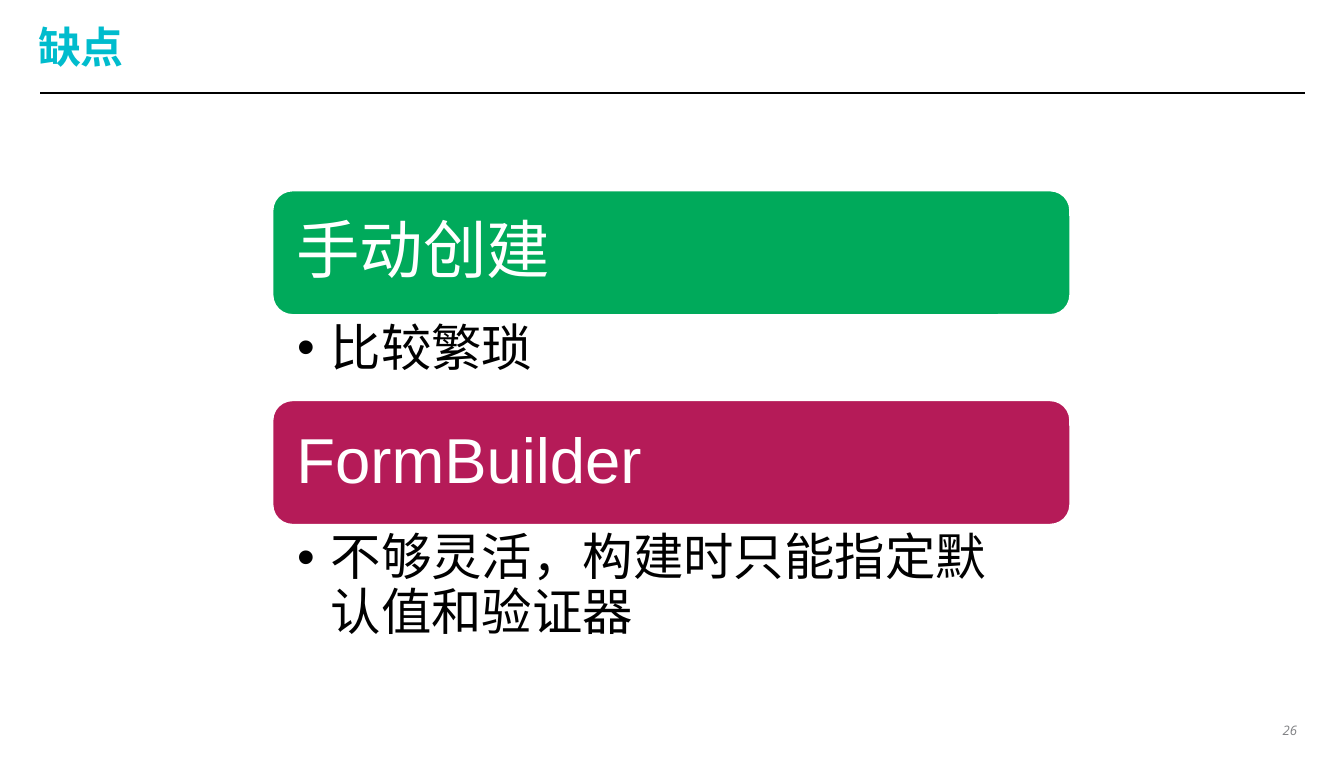
from lxml.etree import SubElement
from pptx import Presentation
from pptx.dml.color import RGBColor
from pptx.enum.shapes import MSO_CONNECTOR, MSO_SHAPE
from pptx.enum.text import MSO_ANCHOR, PP_ALIGN
from pptx.oxml.ns import qn
from pptx.util import Inches, Pt

# Content: heading, fill, drawback, height of the drawback text
TITLE = "缺点"
PAGE_NUMBER = "26"
DRAWBACKS = [
    ("手动创建", "00AA5B", "比较繁琐", 0.62),
    ("FormBuilder", "B51B58", "不够灵活，构建时只能指定默认值和验证器", 0.98),
]

# Layout and text formats
LEFT, TOP, WIDTH, HEADING_HEIGHT = 2.02, 1.41, 5.95, 0.94
TITLE_FORMAT = dict(size=Pt(23), name="Noto Sans CJK JP", bold=True)
PAGE_FORMAT = dict(size=Pt(7), name="Open Sans", italic=True)
HEADING_FORMAT = dict(size=Pt(34), name="Arial")
DRAWBACK_FORMAT = dict(size=Pt(27), name="Arial")


def rgb(value):
    return RGBColor.from_string(value)


def write(owner, text, color, font_format, margins, spacing=1.0,
          anchor=MSO_ANCHOR.TOP, align=PP_ALIGN.LEFT):
    """Fill a text frame with one paragraph and return the paragraph and run."""
    frame = owner.text_frame
    frame.word_wrap = True
    frame.vertical_anchor = anchor
    for side, margin in zip(("left", "top", "right", "bottom"), margins):
        setattr(frame, f"margin_{side}", Inches(margin))
    paragraph = frame.paragraphs[0]
    paragraph.alignment = align
    paragraph.line_spacing = spacing
    run = paragraph.add_run()
    run.text = text
    for key, value in font_format.items():
        setattr(run.font, key, value)
    run.font.color.rgb = rgb(color)
    SubElement(run.font._element, qn("a:ea"), typeface=font_format["name"])
    return paragraph, run


def add_text_box(left, top, width, height):
    return slide.shapes.add_textbox(
        Inches(left), Inches(top), Inches(width), Inches(height))


prs = Presentation()
prs.slide_width, prs.slide_height = Inches(10), Inches(5.63)
slide = prs.slides.add_slide(prs.slide_layouts[6])

# Title with its rule
rule = slide.shapes.add_connector(
    MSO_CONNECTOR.STRAIGHT, Inches(0.3), Inches(0.69), Inches(9.71), Inches(0.69))
rule.line.color.rgb = rgb("000000")
rule.line.width = Pt(1)
SubElement(rule._element.spPr, qn("a:effectLst"))

_, title_run = write(add_text_box(0.29, 0.18, 9.41, 0.42), TITLE, "00BCCD",
                     TITLE_FORMAT, (0, 0, 0, 0), 0.7, MSO_ANCHOR.MIDDLE)
title_run.font._element.set("spc", "-60")

# Page number, with room for its digits on one line
write(add_text_box(9.41, 5.34, 0.3, 0.17), PAGE_NUMBER, "808184", PAGE_FORMAT,
      (0, 0.03, 0.06, 0.03), align=PP_ALIGN.RIGHT)

# Headings, each followed by its drawback
top = TOP
for heading, fill, drawback, drawback_height in DRAWBACKS:
    bar = slide.shapes.add_shape(
        MSO_SHAPE.ROUNDED_RECTANGLE, Inches(LEFT), Inches(top),
        Inches(WIDTH), Inches(HEADING_HEIGHT))
    bar.shadow.inherit = False
    bar.fill.solid()
    bar.fill.fore_color.rgb = rgb(fill)
    bar.line.color.rgb = rgb("FFFFFF")
    bar.line.width = Pt(2)
    write(bar, heading, "FFFFFF", HEADING_FORMAT, (0.14, 0.14, 0.14, 0.14),
          0.9, MSO_ANCHOR.MIDDLE)
    top += HEADING_HEIGHT

    # The right margin keeps the line break after 默
    paragraph, _ = write(
        add_text_box(LEFT, top, WIDTH, drawback_height), drawback, "000000",
        DRAWBACK_FORMAT, (0.19, 0.05, 0.4, 0.05), 0.9)
    properties = paragraph._p.get_or_add_pPr()
    properties.set("marL", str(Inches(0.25)))
    properties.set("indent", str(Inches(-0.25)))
    SubElement(properties, qn("a:buFont"), typeface="Arial")
    SubElement(properties, qn("a:buChar"), char="•")
    top += drawback_height

prs.save("out.pptx")
